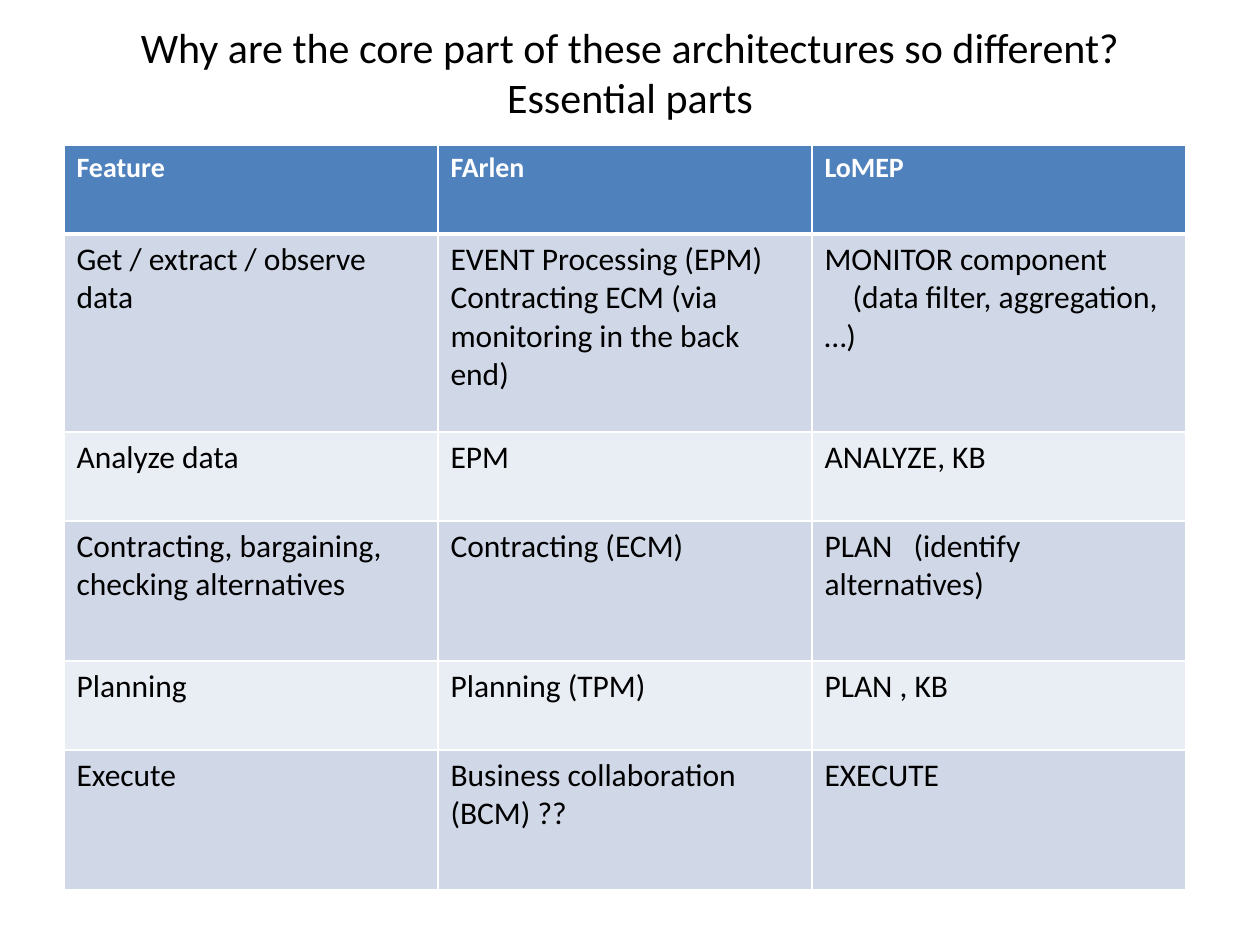
from dataclasses import dataclass

import lxml.etree
import pptx
import pptx.dml.color
import pptx.enum.text
import pptx.oxml.ns
import pptx.util

PIXEL = 914400 // 126
qn = pptx.oxml.ns.qn


@dataclass(frozen=True)
class Theme:
    font: str = "Calibri"
    text: str = "000000"
    light: str = "FFFFFF"
    header: str = "4F81BD"
    odd_row: str = "D0D8E8"
    even_row: str = "E9EDF4"
    title_size: int = 24
    header_size: int = 16
    body_size: int = 18


@dataclass(frozen=True)
class Line:
    text: str
    indent: int = 0
    tab: int = 0


@dataclass(frozen=True)
class Row:
    height: int
    cells: tuple[tuple[Line, ...], ...]


THEME = Theme()
TITLE = "Why are the core part of these architectures so different?\vEssential parts"
COLUMN_WIDTH = 374
ROWS = (
    Row(89, ((Line("Feature"),), (Line("FArlen"),), (Line("LoMEP"),))),
    Row(198, (
        (Line("Get / extract / observe data"),),
        (Line("EVENT Processing (EPM)"),
         Line("Contracting ECM (via monitoring in the back end)")),
        (Line("MONITOR component"),
         Line("(data filter, aggregation, …)", indent=28)),
    )),
    Row(89, ((Line("Analyze data"),), (Line("EPM"),), (Line("ANALYZE, KB"),))),
    Row(140, (
        (Line("Contracting, bargaining,"), Line("checking alternatives")),
        (Line("Contracting (ECM)"),),
        (Line("PLAN\t(identify alternatives)", tab=89),),
    )),
    Row(89, ((Line("Planning"),), (Line("Planning (TPM)"),), (Line("PLAN , KB"),))),
    Row(140, (
        (Line("Execute"),),
        (Line("Business collaboration (BCM) ??"),),
        (Line("EXECUTE"),),
    )),
)


def px(length: int) -> pptx.util.Emu:
    return pptx.util.Emu(length * PIXEL)


def rgb(color: str) -> pptx.dml.color.RGBColor:
    return pptx.dml.color.RGBColor.from_string(color)


def write_text(text_frame, lines: tuple[Line, ...], *, size: int, color: str,
               bold: bool = False,
               alignment=pptx.enum.text.PP_ALIGN.LEFT) -> None:
    for index, line in enumerate(lines):
        paragraph = text_frame.add_paragraph() if index else text_frame.paragraphs[0]
        paragraph.text = line.text
        paragraph.alignment = alignment
        for run in paragraph.runs:
            run.font.name = THEME.font
            run.font.size = pptx.util.Pt(size)
            run.font.bold = bold
            run.font.color.rgb = rgb(color)
        properties = paragraph._p.get_or_add_pPr()
        if line.indent:
            properties.set("marL", "0")
            properties.set("indent", str(px(line.indent)))
        if line.tab:
            tabs = lxml.etree.SubElement(properties, qn("a:tabLst"))
            lxml.etree.SubElement(tabs, qn("a:tab"), pos=str(px(line.tab)), algn="l")


def set_borders(cell, *, top: int, bottom: int) -> None:
    properties = cell._tc.get_or_add_tcPr()
    widths = {"a:lnL": 1, "a:lnR": 1, "a:lnT": top, "a:lnB": bottom}
    for position, (tag, width) in enumerate(widths.items()):
        border = lxml.etree.Element(qn(tag), w=str(pptx.util.Pt(width)))
        fill = lxml.etree.SubElement(border, qn("a:solidFill"))
        lxml.etree.SubElement(fill, qn("a:srgbClr"), val=THEME.light)
        properties.insert(position, border)


def add_title(slide) -> None:
    shape = slide.shapes.add_textbox(px(63), px(8), px(1134), px(127))
    shape.text_frame.word_wrap = True
    shape.text_frame.vertical_anchor = pptx.enum.text.MSO_ANCHOR.MIDDLE
    write_text(shape.text_frame, (Line(TITLE),), size=THEME.title_size,
               color=THEME.text, alignment=pptx.enum.text.PP_ALIGN.CENTER)


def add_comparison(slide) -> None:
    column_count = len(ROWS[0].cells)
    table = slide.shapes.add_table(
        len(ROWS), column_count, px(64), px(145), px(COLUMN_WIDTH * column_count),
        px(sum(row.height for row in ROWS))).table
    for column in table.columns:
        column.width = px(COLUMN_WIDTH)
    for row_index, row in enumerate(ROWS):
        table.rows[row_index].height = px(row.height)
        is_header = row_index == 0
        body_fill = THEME.odd_row if row_index % 2 else THEME.even_row
        for column_index, lines in enumerate(row.cells):
            cell = table.cell(row_index, column_index)
            cell.fill.solid()
            cell.fill.fore_color.rgb = rgb(THEME.header if is_header else body_fill)
            set_borders(cell, top=3 if row_index == 1 else 1,
                        bottom=3 if is_header else 1)
            write_text(cell.text_frame, lines, bold=is_header,
                       size=THEME.header_size if is_header else THEME.body_size,
                       color=THEME.light if is_header else THEME.text)


def main() -> None:
    presentation = pptx.Presentation()
    presentation.slide_width = px(1260)
    presentation.slide_height = px(945)
    slide = presentation.slides.add_slide(presentation.slide_layouts[6])
    add_title(slide)
    add_comparison(slide)
    presentation.save("out.pptx")


main()
